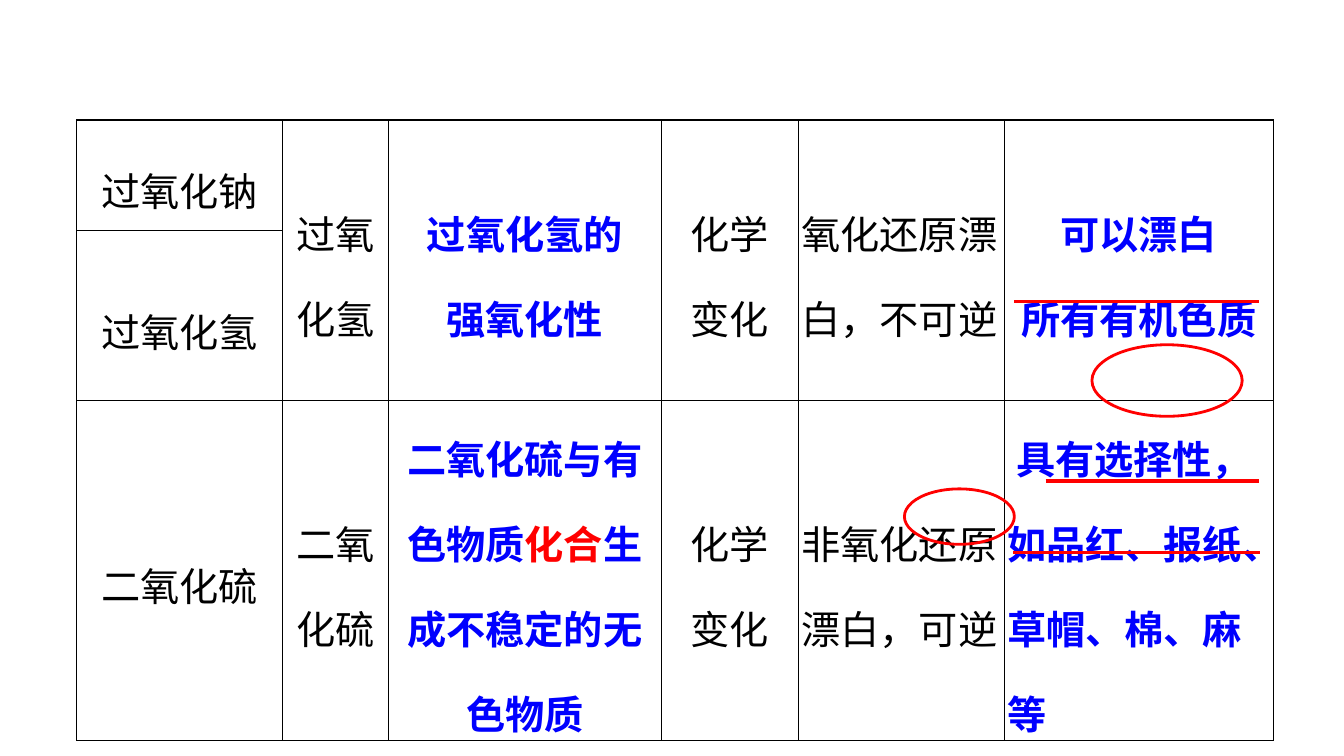
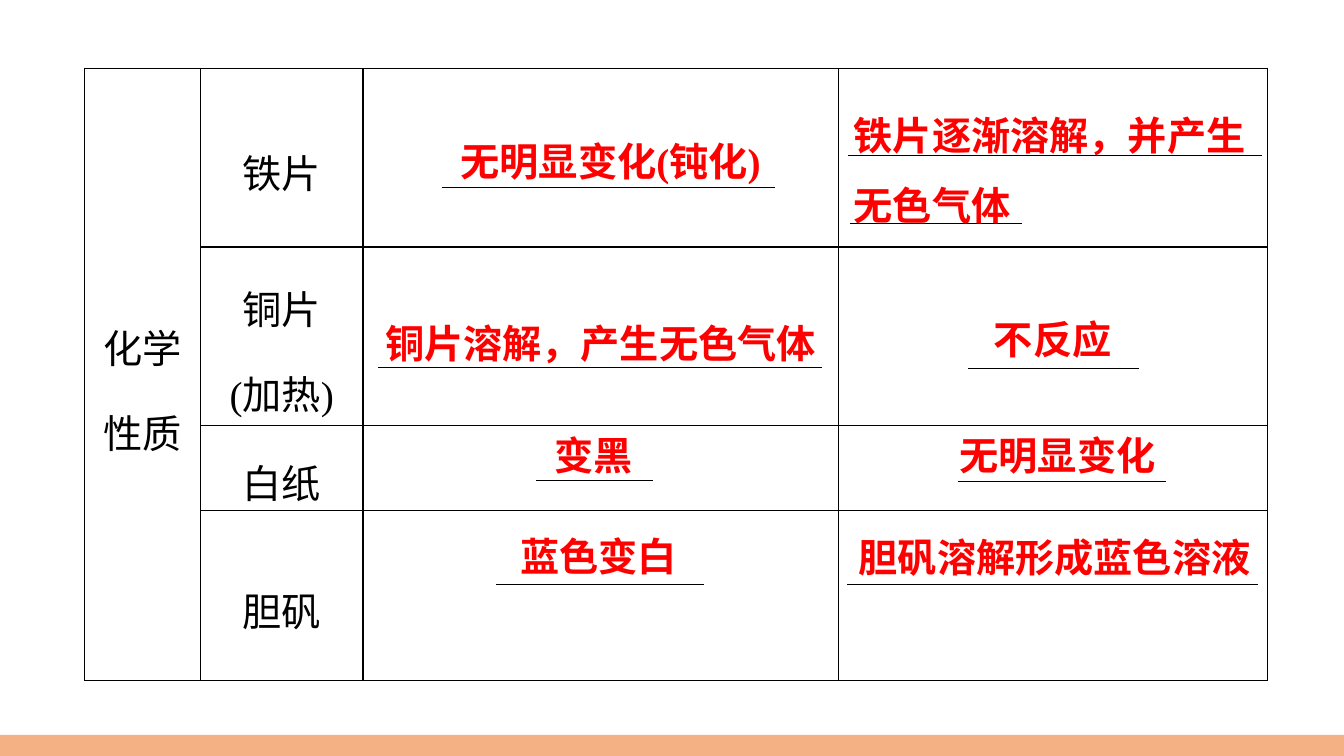
from dataclasses import dataclass

from lxml import etree
from pptx import Presentation, util as u
from pptx.dml.color import RGBColor
from pptx.enum import shapes, text
from pptx.oxml.ns import qn


@dataclass(frozen=True)
class Theme:
    font: str = "Times New Roman"
    size: int = 28
    spacing: float = 1.5
    ink: str = "000000"
    key: str = "0000FF"
    answer: str = "FF0000"
    band: str = "F4B183"
    border: float = 1
    rule: float = 0.75
    mark: float = 2.5
    ring: float = 2


T = Theme()
CELL = u.Inches(1)  # the slide is a grid of 13.33 columns by 7.5 rows
COLS, ROWS = 13.33, 7.5
CENTER, LEFT = text.PP_ALIGN.CENTER, text.PP_ALIGN.LEFT


def write(tf, content, color=T.ink, accent=T.answer, bold=False, align=LEFT, spacing=None):
    """Put one paragraph per line; every second part between bars takes the accent."""
    for i, line in enumerate(content.split("\n")):
        p = tf.paragraphs[0] if i == 0 else tf.add_paragraph()
        p.alignment = align
        if spacing:
            p.line_spacing = spacing
        for j, part in enumerate(line.split("|")):
            r = p.add_run()
            r.text = part
            r.font.name, r.font.size, r.font.bold = T.font, u.Pt(T.size), bold
            r.font.color.rgb = RGBColor.from_string(accent if j % 2 else color)


def add_grid(s, left, top, widths, heights, texts, merges, inset, formats):
    """Add a bordered table; texts and formats are keyed by (row, column)."""
    tbl = s.shapes.add_table(
        len(heights), len(widths), int(left * CELL), int(top * CELL),
        int(sum(widths) * CELL), int(sum(heights) * CELL)).table
    tbl.first_row = tbl.horz_banding = False
    for col, width in zip(tbl.columns, widths):
        col.width = int(width * CELL)
    for row, height in zip(tbl.rows, heights):
        row.height = int(height * CELL)
    for first, last in merges:
        tbl.cell(*first).merge(tbl.cell(*last))
    for row in range(len(heights)):
        for col in range(len(widths)):
            cell = tbl.cell(row, col)
            cell.fill.background()
            cell.vertical_anchor = text.MSO_ANCHOR.MIDDLE
            cell.margin_left = cell.margin_right = int(inset * CELL)
            cell.margin_top = cell.margin_bottom = 0
            tc_pr = cell._tc.get_or_add_tcPr()
            for i, side in enumerate(("lnL", "lnR", "lnT", "lnB")):
                ln = etree.Element(qn(f"a:{side}"), w=str(u.Pt(T.border)))
                fill = etree.SubElement(ln, qn("a:solidFill"))
                etree.SubElement(fill, qn("a:srgbClr"), val=T.ink)
                tc_pr.insert(i, ln)
            if (row, col) in texts:
                fmt = {"align": CENTER, "spacing": T.spacing, **formats.get((row, col), {})}
                write(cell.text_frame, texts[row, col], **fmt)


prs = Presentation()
prs.slide_width, prs.slide_height = int(COLS * CELL), int(ROWS * CELL)
blank = prs.slide_layouts[6]
bleach, acid = (prs.slides.add_slide(blank) for _ in range(2))

# Bleaching agents
key = {"color": T.key, "bold": True}
add_grid(
    bleach, 0.76, 1.19, (2.04, 1.05, 2.71, 1.36, 2.04, 2.67), (1.1, 0.97, 2.93),
    {
        (0, 0): "过氧化钠",
        (0, 1): "过氧\n化氢",
        (0, 2): "过氧化氢的\n强氧化性",
        (0, 3): "化学\n变化",
        (0, 4): "氧化还原漂白，不可逆",
        (0, 5): "可以漂白\n所有有机色质",
        (1, 0): "过氧化氢",
        (2, 0): "二氧化硫",
        (2, 1): "二氧\n化硫",
        (2, 2): "二氧化硫与有色物质|化合|生成不稳定的无色物质",
        (2, 3): "化学\n变化",
        (2, 4): "非氧化还原漂白，可逆",
        (2, 5): " 具有选择性，如品红、报纸、草帽、棉、麻等",
    },
    [((0, col), (1, col)) for col in range(1, 6)], 0.03,
    {(0, 2): key, (0, 5): key, (2, 2): key, (2, 5): {**key, "align": LEFT},
     (0, 4): {"align": LEFT}, (2, 4): {"align": LEFT}})

# Sulfuric acid
add_grid(
    acid, 0.84, 0.68, (1.15, 1.61, 4.72, 4.25), (1.77, 1.77, 0.66, 1.23),
    {(0, 0): "化学性质", (0, 1): "铁片", (1, 1): "铜片\n(加热)",
     (2, 1): "白纸", (3, 1): "胆矾"},
    [((0, 0), (3, 0))], 0.06, {})

# Straight lines: start column, end column, row
marks = [(10.06, 12.49, 2.99), (10.37, 12.49, 4.77), (10.05, 12.5, 5.48)]
blanks = [
    (4.38, 7.69, 1.86), (8.41, 12.52, 1.54), (8.43, 10.14, 2.22),
    (3.75, 8.15, 3.65), (9.6, 11.3, 3.66),
    (5.32, 6.48, 4.77), (9.5, 11.56, 4.78),
    (4.92, 6.98, 5.8), (8.4, 12.48, 5.8),
]
for s, lines, color, width in ((bleach, marks, T.answer, T.mark), (acid, blanks, T.ink, T.rule)):
    for start, end, row in lines:
        y = int(row * CELL)
        line = s.shapes.add_connector(
            shapes.MSO_CONNECTOR.STRAIGHT, int(start * CELL), y, int(end * CELL), y)
        line.line.color.rgb = RGBColor.from_string(color)
        line.line.width = u.Pt(width)
        etree.SubElement(line._element.spPr, qn("a:effectLst"))

for box in ((8.97, 4.85, 1.09, 0.55), (10.83, 3.42, 1.49, 0.71)):
    ring = bleach.shapes.add_shape(shapes.MSO_SHAPE.OVAL, *(int(n * CELL) for n in box))
    ring.shadow.inherit = False
    ring.fill.background()
    ring.line.color.rgb = RGBColor.from_string(T.answer)
    ring.line.width = u.Pt(T.ring)

answers = [
    ("无明显变化(钝化)", 4.47, 1.31, 3.21, 0.57, None),
    ("铁片逐渐溶解，并产生无色气体", 8.37, 0.82, 4.1, 1.43, T.spacing),
    ("铜片溶解，产生无色气体", 3.72, 3.12, 4.52, 0.57, None),
    ("不反应", 9.76, 3.08, 1.38, 0.57, None),
    ("变黑", 5.4, 4.23, 0.99, 0.57, None),
    ("无明显变化", 9.42, 4.23, 2.17, 0.57, None),
    ("蓝色变白", 5.06, 5.23, 1.77, 0.57, None),
    ("胆矾溶解形成蓝色溶液", 8.42, 5.24, 4.13, 0.57, None),
]
for content, *box, spacing in answers:
    tf = acid.shapes.add_textbox(*(int(n * CELL) for n in box)).text_frame
    tf.word_wrap = True
    write(tf, content, color=T.answer, bold=True, spacing=spacing)

band_height = int(0.21 * CELL)
band = acid.shapes.add_shape(
    shapes.MSO_SHAPE.RECTANGLE, 0, prs.slide_height - band_height, prs.slide_width, band_height)
band.shadow.inherit = False
band.fill.solid()
band.fill.fore_color.rgb = RGBColor.from_string(T.band)
band.line.fill.background()

prs.save("out.pptx")
